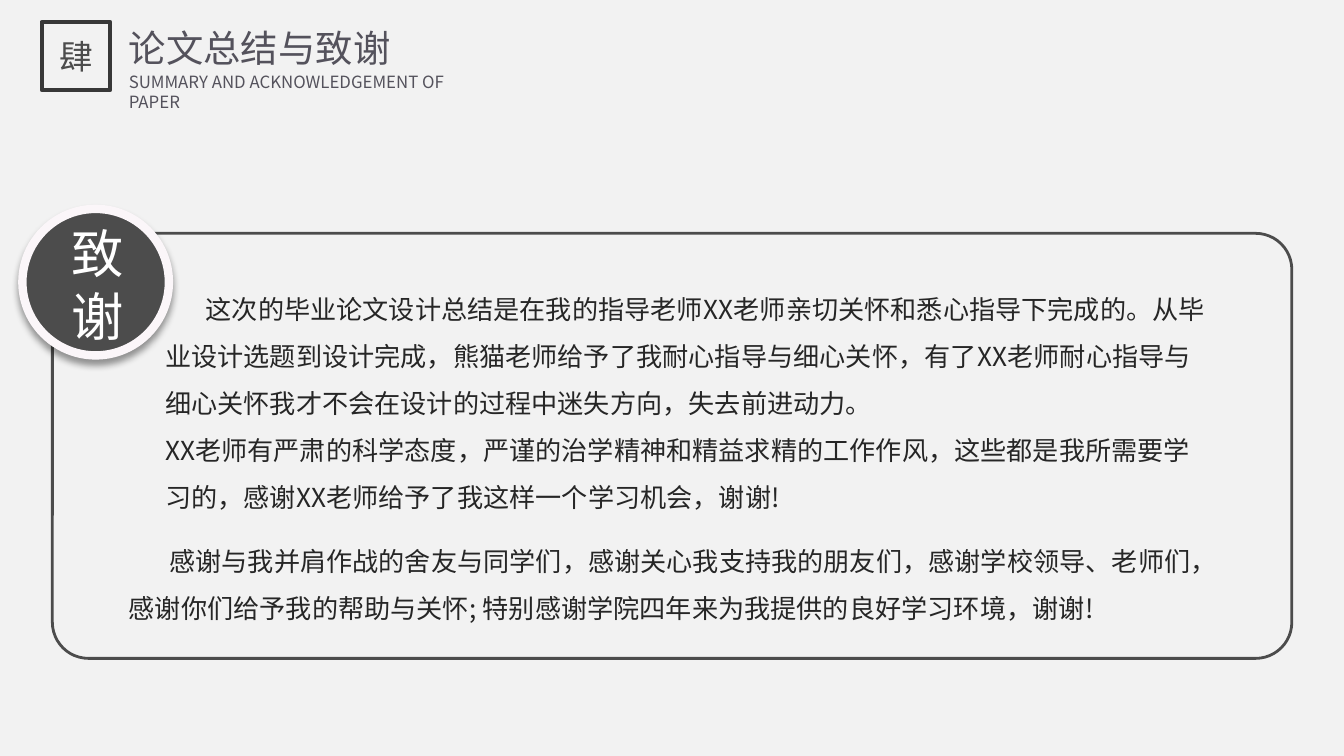
"""Build the thesis acknowledgement slide."""
from lxml import etree
from pptx import Presentation
from pptx.dml.color import RGBColor
from pptx.enum.shapes import MSO_SHAPE
from pptx.enum.text import MSO_ANCHOR, PP_ALIGN
from pptx.oxml.ns import qn
from pptx.util import Pt

RECT, ROUND, OVAL = MSO_SHAPE.RECTANGLE, MSO_SHAPE.ROUNDED_RECTANGLE, MSO_SHAPE.OVAL
LEFT, CENTER = PP_ALIGN.LEFT, PP_ALIGN.CENTER
MIDDLE = MSO_ANCHOR.MIDDLE
FONT = "Noto Sans CJK SC"
PAPER = RGBColor(0xF2, 0xF2, 0xF2)
INK = RGBColor(0x26, 0x26, 0x26)
GREY = RGBColor(0x4C, 0x4C, 0x4C)
DARK = RGBColor(0x38, 0x38, 0x38)
TITLE = RGBColor(0x54, 0x52, 0x5C)
RIM = RGBColor(0xFB, 0xF6, 0xF9)
WHITE = RGBColor(0xFF, 0xFF, 0xFF)

THANKS = [
    "这次的毕业论文设计总结是在我的指导老师XX老师亲切关怀和悉心指导下完成的。从毕业设计选题到设计完成，熊猫老师给予了我耐心指导与细心关怀，有了XX老师耐心指导与细心关怀我才不会在设计的过程中迷失方向，失去前进动力。",
    "XX老师有严肃的科学态度，严谨的治学精神和精益求精的工作作风，这些都是我所需要学习的，感谢XX老师给予了我这样一个学习机会，谢谢!",
]
FRIENDS = [
    "感谢与我并肩作战的舍友与同学们，感谢关心我支持我的朋友们，感谢学校领导、老师们，感谢你们给予我的帮助与关怀; 特别感谢学院四年来为我提供的良好学习环境，谢谢!",
]


def write(shape, lines, size, color, align=LEFT, space=1.0, indent=0):
    frame = shape.text_frame
    frame.word_wrap = True
    frame.text = "\n".join(lines)
    for para in frame.paragraphs:
        para.alignment = align
        para.line_spacing = space
        for run in para.runs:
            run.font.size = Pt(size)
            run.font.name = FONT
            run.font.color.rgb = color
            props = run._r.get_or_add_rPr()
            props.set("lang", "zh-CN")
            etree.SubElement(props, qn("a:ea"), typeface=FONT)
    if indent:
        frame.paragraphs[0]._p.get_or_add_pPr().set("indent", str(Pt(indent)))


def draw(kind, box, color, width):
    shape = slide.shapes.add_shape(kind, *map(Pt, box))
    shape.shadow.inherit = False
    shape.fill.background()
    shape.line.color.rgb = color
    shape.line.width = Pt(width)
    return shape


deck = Presentation()
deck.slide_width, deck.slide_height = Pt(720), Pt(405)
slide = deck.slides.add_slide(deck.slide_layouts[6])
slide.background.fill.solid()
slide.background.fill.fore_color.rgb = PAPER

for box, lines in [((81.4, 145.4, 573, 134.6), THANKS), ((61.9, 280, 591, 56), FRIENDS)]:
    body = slide.shapes.add_textbox(*map(Pt, box))
    write(body, lines, 14, INK, space=1.5, indent=21.7)

frame = draw(ROUND, (28.1, 125, 664, 227.7), GREY, 1.5)
frame.adjustments[0] = 0.085

badge = draw(OVAL, (12, 111.9, 78.5, 78.5), RIM, 4.5)
badge.fill.solid()
badge.fill.fore_color.rgb = GREY
glow = badge._element.spPr.find(qn("a:effectLst"))
cast = etree.SubElement(glow, qn("a:outerShdw"), blurRad=str(Pt(4)), dist=str(Pt(3)),
                        dir="5400000", algn="t", rotWithShape="0")
tint = etree.SubElement(cast, qn("a:srgbClr"), val="000000")
etree.SubElement(tint, qn("a:alpha"), val="40000")

for box, text, size, color, align in [
    ((23, 115.2, 58.3, 75), "致谢", 28, WHITE, CENTER),
    ((61.9, 10, 210, 31.5), "论文总结与致谢", 20, TITLE, LEFT),
    ((61.9, 34.6, 183.6, 18), "SUMMARY AND ACKNOWLEDGEMENT OF PAPER", 9, TITLE, LEFT),
]:
    label = slide.shapes.add_textbox(*map(Pt, box))
    write(label, [text], size, color, align)

mark = draw(RECT, (22.4, 11.7, 36.6, 36.6), DARK, 2.25)
mark.text_frame.vertical_anchor = MIDDLE
write(mark, ["肆"], 18, GREY, CENTER)

deck.save("out.pptx")
